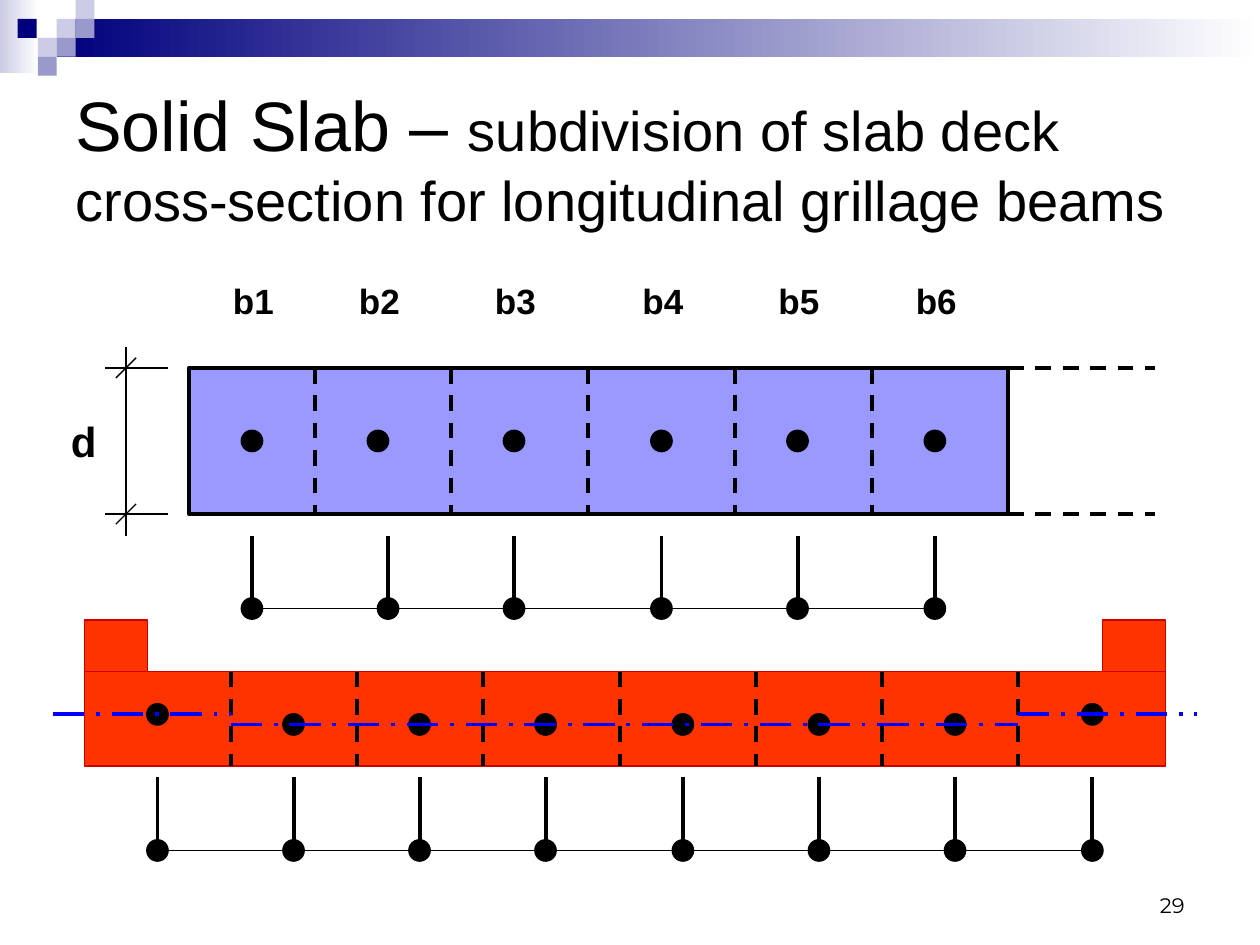
import pptx
import pptx.dml.color
import pptx.enum.dml
import pptx.enum.shapes
import pptx.enum.text
import pptx.oxml.ns
import pptx.util
from lxml import etree

Inches = pptx.util.Inches
Pt = pptx.util.Pt
RGBColor = pptx.dml.color.RGBColor
SHAPE = pptx.enum.shapes.MSO_SHAPE
DASH = pptx.enum.dml.MSO_LINE
ALIGN = pptx.enum.text.PP_ALIGN
ANCHOR = pptx.enum.text.MSO_ANCHOR

BLACK = RGBColor(0x00, 0x00, 0x00)
WHITE = RGBColor(0xFF, 0xFF, 0xFF)
NAVY = RGBColor(0x00, 0x00, 0x7D)
PALE = RGBColor(0xCC, 0xCC, 0xE6)
MID = RGBColor(0x99, 0x99, 0xCC)
LILAC = RGBColor(0x99, 0x99, 0xFF)
RED = RGBColor(0xFF, 0x33, 0x00)
CRIMSON = RGBColor(0xCC, 0x00, 0x00)
BLUE = RGBColor(0x00, 0x00, 0xFF)

DOT = 0.17
THIN = 0.75
THICK = 2.25


def add_shape(slide, kind, box, fill, line=None, width=THIN):
    shape = slide.shapes.add_shape(kind, *map(Inches, box))
    shape.shadow.inherit = False
    if isinstance(fill, RGBColor):
        shape.fill.solid()
        shape.fill.fore_color.rgb = fill
    else:
        shape.fill.gradient()
        shape.fill.gradient_angle = 0
        for stop, color in zip(shape.fill.gradient_stops, fill):
            stop.color.rgb = color
    if line is None:
        shape.line.fill.background()
    else:
        shape.line.color.rgb = line
        shape.line.width = Pt(width)


def add_rect(slide, box, fill, line=None, width=THIN):
    add_shape(slide, SHAPE.RECTANGLE, box, fill, line, width)


def add_dot(slide, x, y):
    box = (x - DOT / 2, y - DOT / 2, DOT, DOT)
    add_shape(slide, SHAPE.OVAL, box, BLACK, BLACK)


def add_line(slide, start, end, width=THIN, color=BLACK, dash=None):
    kind = pptx.enum.shapes.MSO_CONNECTOR.STRAIGHT
    line = slide.shapes.add_connector(kind, *map(Inches, start + end))
    line.line.color.rgb = color
    line.line.width = Pt(width)
    if dash is not None:
        line.line.dash_style = dash
    props = line._element.spPr
    etree.SubElement(props, pptx.oxml.ns.qn("a:effectLst"))


def add_text(slide, box, runs, font="Arial", bold=False,
             align=ALIGN.LEFT, anchor=ANCHOR.TOP):
    frame = slide.shapes.add_textbox(*map(Inches, box)).text_frame
    frame.word_wrap = True
    frame.vertical_anchor = anchor
    para = frame.paragraphs[0]
    para.alignment = align
    for text, size in runs:
        run = para.add_run()
        run.text = text
        run.font.name = font
        run.font.size = Pt(size)
        run.font.bold = bold
        run.font.color.rgb = BLACK


def add_cuts(slide, places, top, end):
    for x in places:
        add_line(slide, (x, top), (x, end), THICK, dash=DASH.DASH)


def add_beams(slide, places, top, end):
    for x in places:
        add_line(slide, (x, top), (x, end), THICK)
        add_dot(slide, x, end)
    add_line(slide, (places[0], end), (places[-1], end))


def add_band(slide):
    add_rect(slide, (0, 0, 0.31, 0.58), (PALE, WHITE))
    add_rect(slide, (0.45, 0.15, 9.55, 0.3), (NAVY, WHITE))
    tiles = [(0.45, 0.15, PALE), (0.6, 0, PALE), (0.6, 0.15, MID),
             (0.3, 0.3, PALE), (0.14, 0.15, NAVY), (0.45, 0.3, MID),
             (0.3, 0.45, MID)]
    for x, y, color in tiles:
        add_rect(slide, (x, y, 0.15, 0.15), color)


def add_depth(slide, top, end):
    add_line(slide, (1, 2.75), (1, 4.25))
    for y in (top, end):
        add_line(slide, (1.33, y), (0.83, y))
        add_line(slide, (1.08, y - 0.08), (0.92, y + 0.08))
    add_text(slide, (0.33, 3.25, 0.67, 0.5), [("d", 24)],
             bold=True, align=ALIGN.CENTER)


def add_slab(slide):
    top, end = 2.92, 4.08
    add_rect(slide, (1.5, top, 6.5, end - top), LILAC, BLACK, THICK)
    add_depth(slide, top, end)
    for y in (top, end):
        add_line(slide, (8, y), (9.17, y), THICK, dash=DASH.DASH)
    add_cuts(slide, (2.5, 3.58, 4.67, 5.83, 6.92), top, end)
    for i, x in enumerate((2, 3, 4.08, 5.25, 6.33, 7.42), 1):
        add_dot(slide, x, 3.5)
        add_text(slide, (x - 0.25, 2.17, 0.58, 0.44),
                 [(f"b{i}", 20)], bold=True)
    add_beams(slide, (2, 3.08, 4.08, 5.25, 6.33, 7.42), 4.25, 4.83)


def add_deck(slide):
    top, end = 5.33, 6.08
    for x in (0.67, 8.75):
        add_rect(slide, (x, 4.92, 0.5, 1.08), RED, CRIMSON)
    add_rect(slide, (0.67, top, 8.58, end - top), RED, CRIMSON)
    add_cuts(slide, (1.83, 2.83, 3.83, 4.92, 6, 7, 8.08), top, end)
    nodes = (1.25, 2.33, 3.33, 4.33, 5.42, 6.5, 7.58, 8.67)
    edge, inner = 5.67, 5.75
    for x in nodes:
        add_dot(slide, x, edge if x in (nodes[0], nodes[-1]) else inner)
    for left, right, y in ((0.42, 1.83, edge), (1.83, 8.08, inner),
                           (8.08, 9.5, edge)):
        add_line(slide, (left, y), (right, y), THICK, BLUE,
                 DASH.LONG_DASH_DOT)
    add_beams(slide, nodes, 6.17, 6.75)


def main():
    deck = pptx.Presentation()
    deck.slide_width = Inches(10)
    deck.slide_height = Inches(7.5)
    slide = deck.slides.add_slide(deck.slide_layouts[6])
    add_band(slide)
    add_text(slide, (0.5, 0.5, 9, 1.5),
             [("Solid Slab – ", 40),
              ("subdivision of slab deck cross-section for "
               "longitudinal grillage beams", 32)],
             anchor=ANCHOR.MIDDLE)
    add_slab(slide)
    add_deck(slide)
    add_text(slide, (7.17, 6.83, 2.33, 0.5), [("29", 12)],
             font="Montserrat", align=ALIGN.RIGHT, anchor=ANCHOR.BOTTOM)
    deck.save("out.pptx")


if __name__ == "__main__":
    main()
